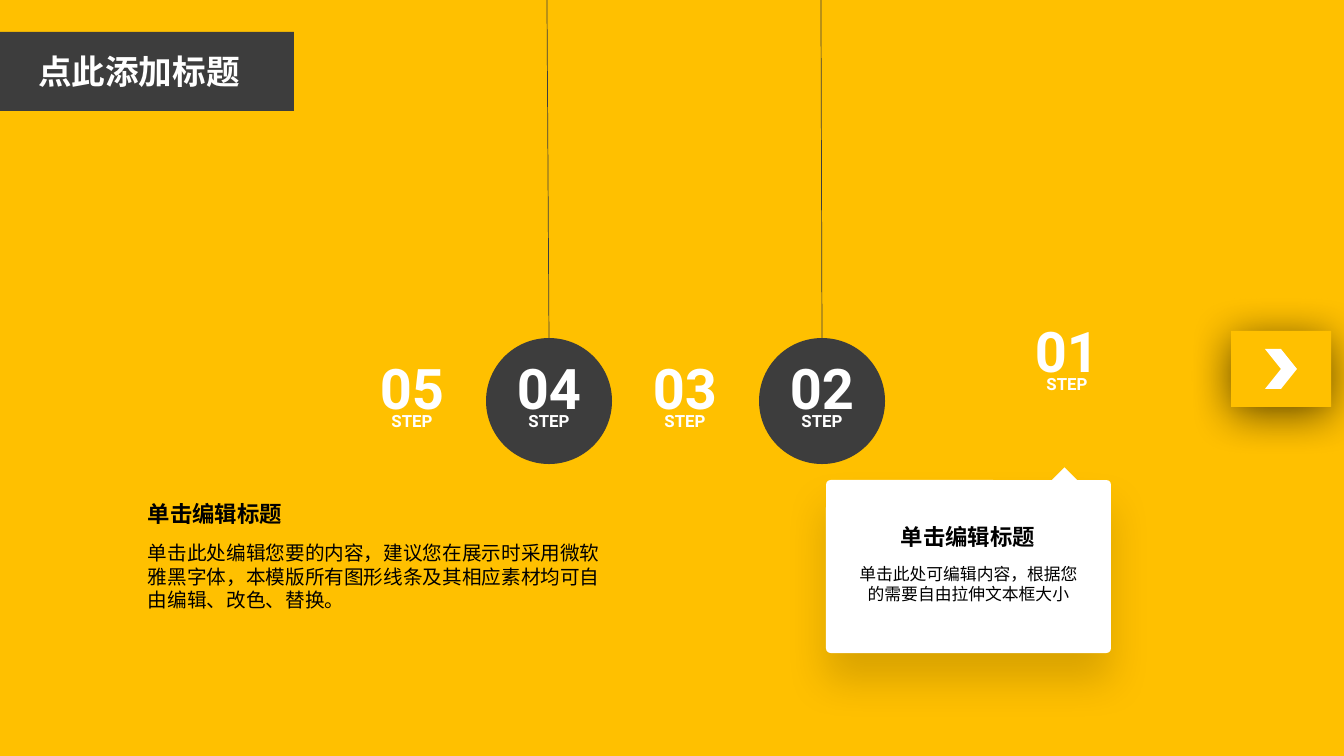
from dataclasses import dataclass

from lxml import etree
from pptx import Presentation
from pptx import util as u
from pptx.dml.color import RGBColor
from pptx.enum import shapes, text
from pptx.oxml import ns

PX = 9071  # EMU in one px, 100.8 px to the inch


@dataclass(frozen=True)
class Theme:
    yellow: RGBColor = RGBColor(0xFF, 0xC0, 0x00)
    dark: RGBColor = RGBColor(0x3D, 0x3D, 0x3D)
    white: RGBColor = RGBColor(0xFF, 0xFF, 0xFF)
    black: RGBColor = RGBColor(0x00, 0x00, 0x00)
    cjk: str = "Noto Sans CJK SC"
    latin: str = "Arial"
    digits: str = "Roboto"
    number: int = 40
    title: int = 24
    heading: int = 16
    body: int = 14
    small: int = 12


THEME = Theme()


def write_text(shape, lines, sizes, font=THEME.latin, color=THEME.black, bold=False,
               align=text.PP_ALIGN.LEFT, anchor=text.MSO_ANCHOR.TOP,
               spacing=1.0, insets=(0, 0, 0, 0)):
    frame = shape.text_frame
    frame.word_wrap = True
    frame.auto_size = text.MSO_AUTO_SIZE.NONE
    frame.vertical_anchor = anchor
    (frame.margin_left, frame.margin_top,
     frame.margin_right, frame.margin_bottom) = [inset * PX for inset in insets]
    frame.text = "\n".join(lines)
    for paragraph, size in zip(frame.paragraphs, sizes):
        properties = paragraph._p.get_or_add_pPr()
        properties.set("marL", "0")
        properties.set("indent", "0")
        etree.SubElement(properties, ns.qn("a:buNone"))
        paragraph.alignment = align
        paragraph.line_spacing = spacing
        paragraph.space_before = u.Pt(0)
        run = paragraph.runs[0]
        run.font.size = u.Pt(size)
        run.font.bold = bold
        run.font.color.rgb = color
        run.font.name = font
        etree.SubElement(run._r.rPr, ns.qn("a:ea"), typeface=THEME.cjk)


def add_block(kind, left, top, width, height, fill=None, line=None, shadow=None):
    shape = slide.shapes.add_shape(kind, left * PX, top * PX, width * PX, height * PX)
    shape.shadow.inherit = False
    if fill is None:
        shape.fill.background()
    else:
        shape.fill.solid()
        shape.fill.fore_color.rgb = fill
    if line is None:
        shape.line.fill.background()
    else:
        shape.line.color.rgb = line
        shape.line.width = u.Pt(1)
    if shadow:
        opacity, blur, distance = shadow
        effects = shape._element.spPr.find(ns.qn("a:effectLst"))
        outer = etree.SubElement(
            effects, ns.qn("a:outerShdw"), blurRad=str(u.Pt(blur)),
            dist=str(u.Pt(distance)), dir="5400000", algn="t", rotWithShape="0")
        tint = etree.SubElement(outer, ns.qn("a:srgbClr"), val=str(THEME.black))
        etree.SubElement(tint, ns.qn("a:alpha"), val=str(opacity * 1000))
    return shape


presentation = Presentation()
presentation.slide_width = 1344 * PX
presentation.slide_height = 756 * PX
slide = presentation.slides.add_slide(presentation.slide_layouts[1])
slide.background.fill.solid()
slide.background.fill.fore_color.rgb = THEME.yellow

# Pendulum: balls 05 to 02 hang in a row, ball 01 swings out
BALL = 126
SHAPE = shapes.MSO_SHAPE
hung = [(f"0{5 - i}", 349 + round(i * 136.7), 338, anchor_x)
        for i, anchor_x in enumerate((412, 547, 682, 821))]
for index, (number, left, top, anchor_x) in enumerate(hung + [("01", 1004, 301, 914)]):
    color = THEME.dark if index % 2 else THEME.yellow
    swinging = number == "01"
    end_x, end_y = (1041, 310) if swinging else (left + BALL // 2, top)
    string = slide.shapes.add_connector(
        shapes.MSO_CONNECTOR.STRAIGHT, end_x * PX, end_y * PX, anchor_x * PX, 0)
    string.line.color.rgb = color
    string.line.width = u.Pt(0.5)
    etree.SubElement(string._element.spPr, ns.qn("a:effectLst"))
    ball = add_block(SHAPE.OVAL, left, top, BALL, BALL, fill=color)
    write_text(ball, [number, "STEP"], [THEME.number, THEME.small], font=THEME.digits,
               color=THEME.white, bold=True, align=text.PP_ALIGN.CENTER,
               anchor=text.MSO_ANCHOR.MIDDLE, spacing=0.6, insets=(10, 10, 10, 5))

# Rings around ball 01
for margin in (35, 48):
    add_block(SHAPE.OVAL, 1004 - margin, 301 - margin, BALL + 2 * margin,
              BALL + 2 * margin, line=THEME.yellow)

# White card with its pointer
card = add_block(SHAPE.ROUNDED_RECTANGLE, 826, 480, 285, 173,
                 fill=THEME.white, shadow=(15, 30, 20))
card.adjustments[0] = 0.027
pointer = add_block(SHAPE.RECTANGLE, 1046, 475, 37, 37, fill=THEME.white)
pointer.rotation = 45

# Card text and left heading
CENTER, LEFT = text.PP_ALIGN.CENTER, text.PP_ALIGN.LEFT
for words, left, top, width, height, size, bold, align in (
    ("单击编辑标题", 878, 523, 180, 30, THEME.heading, True, CENTER),
    ("单击此处可编辑内容，根据您的需要自由拉伸文本框大小",
     855, 564, 227, 46, THEME.small, False, CENTER),
    ("单击编辑标题", 148, 500, 214, 32, THEME.heading, True, LEFT),
):
    box = slide.shapes.add_textbox(left * PX, top * PX, width * PX, height * PX)
    write_text(box, [words], [size], bold=bold, align=align)

# Left body text
body = slide.placeholders[1]
body.left, body.top, body.width, body.height = 148 * PX, 541 * PX, 469 * PX, 86 * PX
write_text(body, ["单击此处编辑您要的内容，建议您在展示时采用微软雅黑字体，"
                  "本模版所有图形线条及其相应素材均可自由编辑、改色、替换。"],
           [THEME.body], font=THEME.cjk)

# Title on its bar
add_block(SHAPE.RECTANGLE, 0, 32, 294, 79, fill=THEME.dark)
add_block(SHAPE.RECTANGLE, 318, 32, 19, 79, fill=THEME.yellow)
title = slide.shapes.title
title.left, title.top, title.width, title.height = 0, 46 * PX, 278 * PX, 50 * PX
write_text(title, ["点此添加标题"], [THEME.title], font=THEME.cjk, color=THEME.white,
           bold=True, align=CENTER, anchor=text.MSO_ANCHOR.MIDDLE, insets=(10, 5, 10, 5))
slide.shapes._spTree.append(title._element)

# Next button
button = add_block(SHAPE.RECTANGLE, 1243, 319, 76, 100,
                   fill=THEME.yellow, shadow=(62, 32, 5))
button.rotation = 90
add_block(SHAPE.CHEVRON, 1265, 349, 32, 40, fill=THEME.white)

presentation.save("out.pptx")
